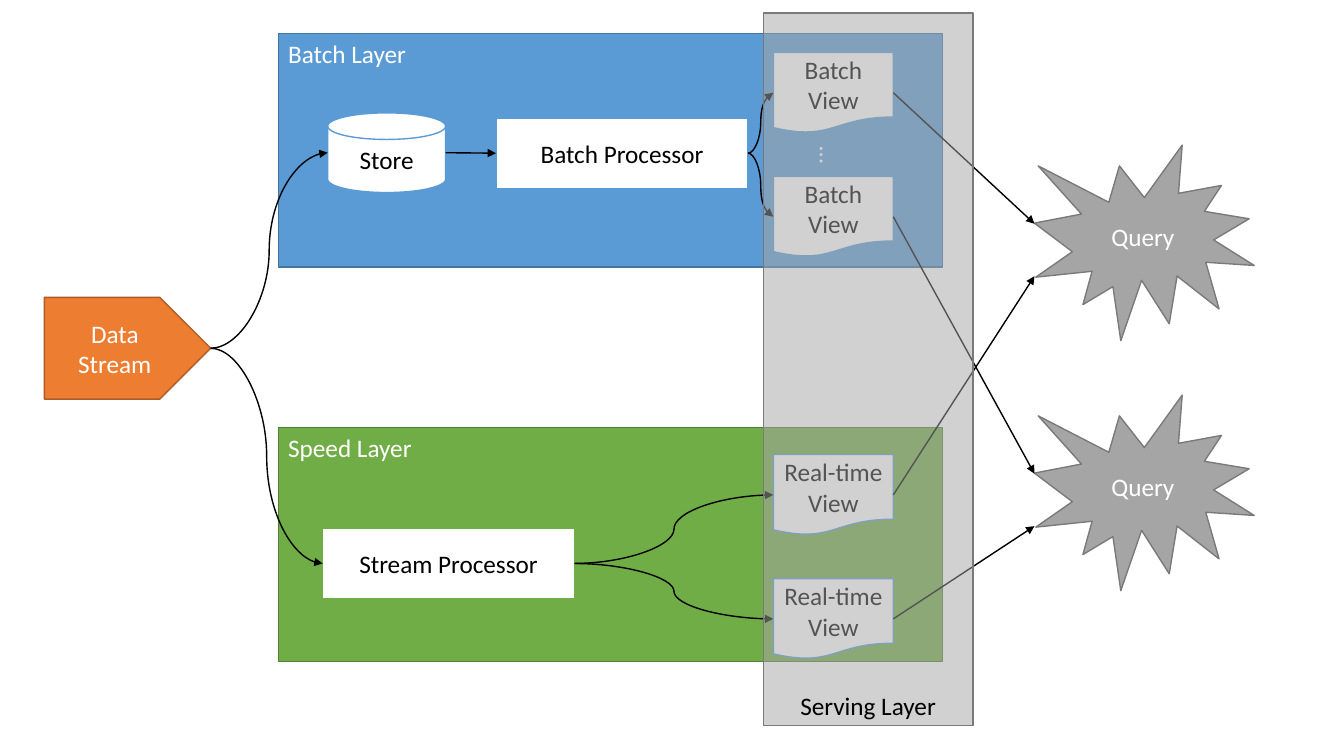
from dataclasses import dataclass

from lxml import etree
from pptx import Presentation
from pptx.dml.color import RGBColor
from pptx.enum import shapes, text
from pptx.oxml import ns
from pptx.util import Inches, Pt

KIND = shapes.MSO_SHAPE
LINK = shapes.MSO_CONNECTOR
ANCHOR = text.MSO_ANCHOR
ALIGN = text.PP_ALIGN


@dataclass(frozen=True)
class Theme:
    """Colours and type of the slide."""
    font: str = "Calibri"
    size: int = 18
    stroke: int = 1
    white: str = "FFFFFF"
    black: str = "000000"
    orange: str = "ED7D31"
    orange_edge: str = "AF5C24"
    blue: str = "5B9BD5"
    blue_edge: str = "43739E"
    green: str = "70AD47"
    green_edge: str = "538035"
    grey: str = "A5A5A5"
    grey_edge: str = "7A7A7A"
    serving_opacity: int = 51


@dataclass(frozen=True)
class Box:
    """A rectangle in inches."""
    left: float
    top: float
    width: float
    height: float

    def inner(self, dx, dy, width, height):
        """Return a box placed relative to this one."""
        return Box(self.left + dx, self.top + dy, width, height)

    def lengths(self):
        """Return the four lengths for a shape call."""
        return [Inches(v) for v in (self.left, self.top, self.width, self.height)]


THEME = Theme()


def style_label(frame, colour, align, anchor):
    """Set the type, alignment and anchor of a text frame."""
    frame.word_wrap = True
    frame.vertical_anchor = anchor
    label = frame.paragraphs[0]
    label.alignment = align
    label.font.name = THEME.font
    label.font.size = Pt(THEME.size)
    label.font.color.rgb = RGBColor.from_string(colour)


def add_block(slide, kind, box, caption, fill, edge, colour,
              align=ALIGN.CENTER, anchor=ANCHOR.MIDDLE):
    """Add a filled, outlined and captioned shape."""
    block = slide.shapes.add_shape(kind, *box.lengths())
    block.shadow.inherit = False
    block.fill.solid()
    block.fill.fore_color.rgb = RGBColor.from_string(fill)
    block.line.color.rgb = RGBColor.from_string(edge)
    block.line.width = Pt(THEME.stroke)
    block.text_frame.text = caption
    style_label(block.text_frame, colour, align, anchor)
    return block


def left_port(block):
    """Return the middle of the left side."""
    return block.left, block.top + block.height // 2


def right_port(block):
    """Return the middle of the right side."""
    return block.left + block.width, block.top + block.height // 2


def add_arrow(slide, kind, start, end):
    """Add a connector with an arrowhead at its end."""
    arrow = slide.shapes.add_connector(kind, *start, *end)
    arrow.line.color.rgb = RGBColor.from_string(THEME.black)
    arrow.line.width = Pt(THEME.stroke)
    etree.SubElement(arrow.line._get_or_add_ln(), ns.qn("a:tailEnd"), type="triangle")
    etree.SubElement(arrow._element.spPr, ns.qn("a:effectLst"))
    return arrow


def fan_out(slide, source, targets):
    """Join one block to several with curved arrows."""
    for target in targets:
        add_arrow(slide, LINK.CURVE, right_port(source), left_port(target))


def add_layer(slide, box, caption, fill, edge):
    """Add the coloured panel of a layer."""
    add_block(slide, KIND.RECTANGLE, box, caption, fill, edge, THEME.white,
              ALIGN.LEFT, ANCHOR.TOP)


def add_processor(slide, box, caption, edge):
    """Add a white processor block."""
    return add_block(slide, KIND.RECTANGLE, box, caption, THEME.white, edge, THEME.black)


def add_views(slide, box, caption):
    """Add two view documents, one below the other."""
    pitch = 1.23
    return [add_block(slide, KIND.FLOWCHART_DOCUMENT, box.inner(0, i * pitch, 1.19, 0.8),
                      caption, THEME.white, THEME.blue, THEME.black) for i in range(2)]


def add_batch_layer(slide, box):
    """Build the batch layer and return its store and views."""
    add_layer(slide, box, "Batch Layer", THEME.blue, THEME.blue_edge)
    store = add_block(slide, KIND.FLOWCHART_MAGNETIC_DISK, box.inner(0.49, 0.79, 1.17, 0.79),
                      "Store", THEME.white, THEME.blue, THEME.black)
    processor = add_processor(slide, box.inner(2.16, 0.84, 2.5, 0.7),
                              "Batch Processor", THEME.blue)
    views = add_views(slide, box.inner(4.91, 0.19, 1.19, 2.03), "Batch View")
    ellipsis = slide.shapes.add_textbox(*box.inner(5.21, 1.08, 0.52, 0.4).lengths())
    ellipsis.rotation = 90
    ellipsis.text_frame.text = "…"
    style_label(ellipsis.text_frame, THEME.white, ALIGN.LEFT, ANCHOR.TOP)
    feed = add_arrow(slide, LINK.STRAIGHT, right_port(store), left_port(processor))
    feed.end_connect(processor, 1)
    fan_out(slide, processor, views)
    return store, views


def add_speed_layer(slide, box):
    """Build the speed layer and return its processor and views."""
    add_layer(slide, box, "Speed Layer", THEME.green, THEME.green_edge)
    processor = add_processor(slide, box.inner(0.44, 1, 2.5, 0.7),
                              "Stream Processor", THEME.green)
    views = add_views(slide, box.inner(4.91, 0.27, 1.19, 2.03), "Real-time View")
    fan_out(slide, processor, views)
    return processor, views


def add_query(slide, box, batch_view, speed_view):
    """Add a query burst fed by a batch view and a real-time view."""
    add_block(slide, KIND.EXPLOSION1, box, "Query", THEME.grey, THEME.grey_edge, THEME.white)
    for view, drop in ((batch_view, 0.78), (speed_view, 1.3)):
        tip = Inches(box.left), Inches(box.top + drop)
        arrow = add_arrow(slide, LINK.STRAIGHT, right_port(view), tip)
        arrow.begin_connect(view, 3)


def add_serving_layer(slide, box):
    """Add the translucent serving layer over the views."""
    serving = add_block(slide, KIND.RECTANGLE, box, "Serving Layer", THEME.grey,
                        THEME.grey_edge, THEME.black, anchor=ANCHOR.BOTTOM)
    colour = serving._element.spPr.find(ns.qn("a:solidFill"))[0]
    etree.SubElement(colour, ns.qn("a:alpha"), val=str(THEME.serving_opacity * 1000))


def build_architecture(slide):
    """Build the whole data flow from stream to queries."""
    stream = add_block(slide, KIND.PENTAGON, Box(0.44, 2.95, 1.65, 1.01), "Data Stream",
                       THEME.orange, THEME.orange_edge, THEME.white)
    batch_box = Box(2.76, 0.33, 6.59, 2.32)
    store, batch_views = add_batch_layer(slide, batch_box)
    stream_processor, speed_views = add_speed_layer(slide, batch_box.inner(0, 3.91, 6.59, 2.32))
    fan_out(slide, stream, (store, stream_processor))
    query_box = Box(10.26, 1.44, 2.18, 1.94)
    for i, (batch_view, speed_view) in enumerate(zip(batch_views, speed_views)):
        add_query(slide, query_box.inner(0, i * 2.48, 2.18, 1.94), batch_view, speed_view)
    add_serving_layer(slide, Box(7.57, 0.13, 2.08, 7.07))


def main():
    """Create and save the presentation."""
    deck = Presentation()
    deck.slide_width, deck.slide_height = Inches(13.33), Inches(7.5)
    build_architecture(deck.slides.add_slide(deck.slide_layouts[6]))
    deck.save("out.pptx")


if __name__ == "__main__":
    main()
